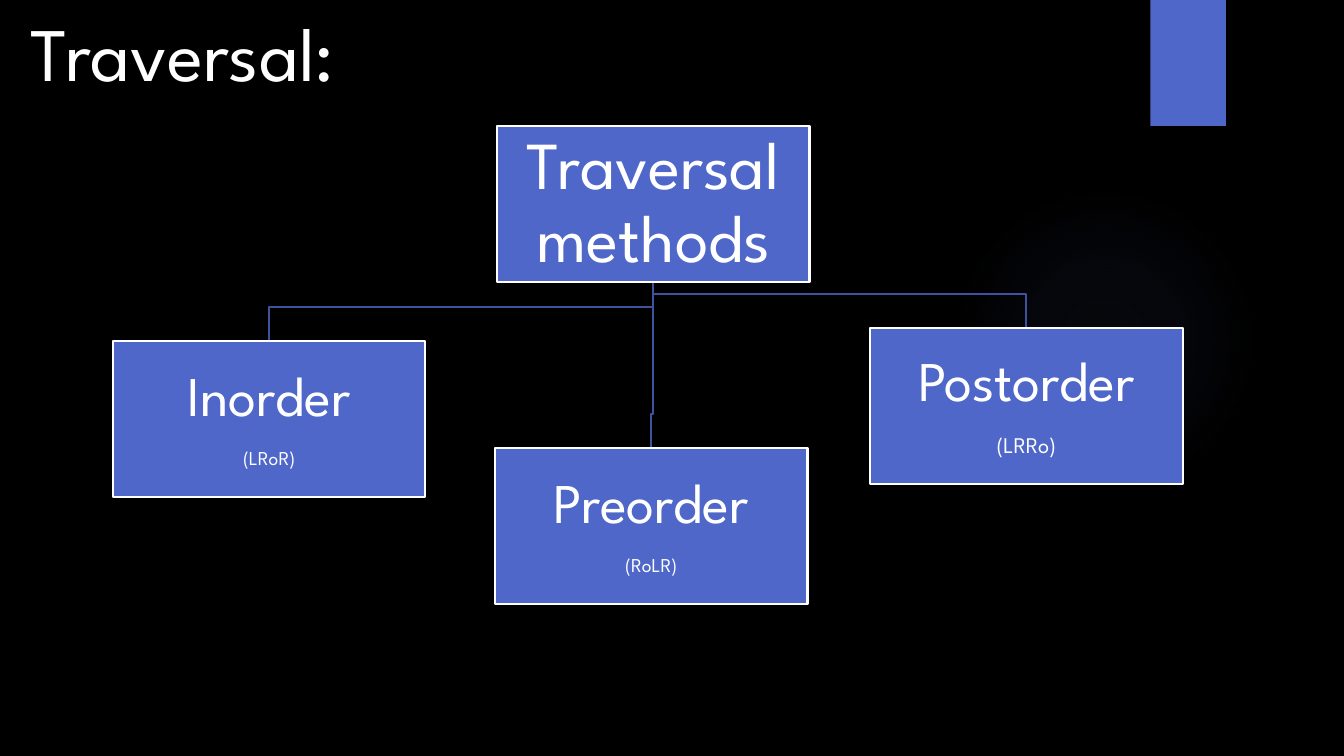
"""Build a slide with a tree of traversal methods."""
from lxml.etree import SubElement
from pptx import Presentation
from pptx.dml.color import RGBColor
from pptx.enum.shapes import MSO_SHAPE
from pptx.enum.text import MSO_ANCHOR, MSO_AUTO_SIZE, PP_ALIGN
from pptx.oxml.ns import qn
from pptx.util import Inches, Pt

TITLE = "Traversal: "
FONT = "League Spartan"
BLACK, WHITE, BLUE, LINE, GLOW = "000000", "FFFFFF", "4E67C8", "3E52A0", "5968B0"
GLOW_STOPS = [(0, 7), (36, 6), (69, 0)]
BOX_W, BOX_H, BEND = 3.1, 1.55, 0.33
ROOT = (4.93, 1.25, [("Traversal methods", 48)])
CHILDREN = [
    (8.63, 3.25, [("Postorder", 40), ("(LRRo)", 16)]),
    (4.91, 4.44, [("Preorder", 40), ("(RoLR)", 14)]),
    (1.12, 3.38, [("Inorder", 40), ("(LRoR)", 14)]),
]


def color(value):
    return RGBColor.from_string(value)


def add_run(p, text, size):
    r = p.add_run()
    r.text = text
    r.font.name = FONT
    r.font.size = Pt(size)
    r.font.color.rgb = color(WHITE)


def add_shape(slide, kind, x, y, w, h, fill=BLUE):
    sp = slide.shapes.add_shape(kind, Inches(x), Inches(y), Inches(w), Inches(h))
    sp.shadow.inherit = False
    sp.fill.solid()
    sp.fill.fore_color.rgb = color(fill)
    sp.line.fill.background()
    return sp


def add_glow(slide):
    sp = add_shape(slide, MSO_SHAPE.OVAL, 9.41, 1.83, 3.08, 3.08)
    sp.fill.gradient()
    grad = sp.fill._xPr.find(qn("a:gradFill"))
    for child in list(grad):
        grad.remove(child)
    stops = SubElement(grad, qn("a:gsLst"))
    for pos, alpha in GLOW_STOPS:
        gs = SubElement(stops, qn("a:gs"), pos=str(pos * 1000))
        clr = SubElement(gs, qn("a:srgbClr"), val=GLOW)
        SubElement(clr, qn("a:alpha"), val=str(alpha * 1000))
    circle = SubElement(grad, qn("a:path"), path="circle")
    SubElement(circle, qn("a:fillToRect"), l="50000", t="50000", r="50000", b="50000")


def add_title(slide):
    sp = slide.shapes.title
    sp.left, sp.top, sp.width, sp.height = map(Inches, (0.01, 0.01, 3.79, 1.01))
    tf = sp.text_frame
    tf.word_wrap = False
    tf.auto_size = MSO_AUTO_SIZE.NONE
    tf.vertical_anchor = MSO_ANCHOR.TOP
    p = tf.paragraphs[0]
    p.alignment = PP_ALIGN.CENTER
    add_run(p, TITLE, 54)


def add_branch(slide, child_x, child_y):
    x0, y0 = ROOT[0] + BOX_W / 2, ROOT[1] + BOX_H
    x1, bend = child_x + BOX_W / 2, child_y - BEND
    fb = slide.shapes.build_freeform(Inches(x0), Inches(y0))
    points = [(x0, bend), (x1, bend), (x1, child_y)]
    fb.add_line_segments([(Inches(x), Inches(y)) for x, y in points], close=False)
    sp = fb.convert_to_shape()
    sp.shadow.inherit = False
    sp.fill.background()
    sp.line.color.rgb = color(LINE)
    sp.line.width = Pt(1.5)


def add_box(slide, x, y, lines):
    sp = add_shape(slide, MSO_SHAPE.RECTANGLE, x, y, BOX_W, BOX_H)
    sp.line.color.rgb = color(WHITE)
    sp.line.width = Pt(1.5)
    tf = sp.text_frame
    tf.word_wrap = True
    tf.vertical_anchor = MSO_ANCHOR.MIDDLE
    tf.margin_left = tf.margin_right = tf.margin_top = tf.margin_bottom = Inches(0.03)
    for i, (text, size) in enumerate(lines):
        p = tf.add_paragraph() if i else tf.paragraphs[0]
        p.alignment = PP_ALIGN.CENTER
        p.line_spacing = 0.9
        p.space_after = Pt(0.35 * size)
        add_run(p, text, size)


def main():
    prs = Presentation()
    prs.slide_width, prs.slide_height = Inches(13.33), Inches(7.5)
    slide = prs.slides.add_slide(prs.slide_layouts[5])
    slide.background.fill.solid()
    slide.background.fill.fore_color.rgb = color(BLACK)
    add_glow(slide)
    add_shape(slide, MSO_SHAPE.RECTANGLE, 11.41, 0, 0.75, 1.25)
    add_title(slide)
    for x, y, _ in CHILDREN:
        add_branch(slide, x, y)
    for x, y, lines in [ROOT, *CHILDREN]:
        add_box(slide, x, y, lines)
    prs.save("out.pptx")


if __name__ == "__main__":
    main()
